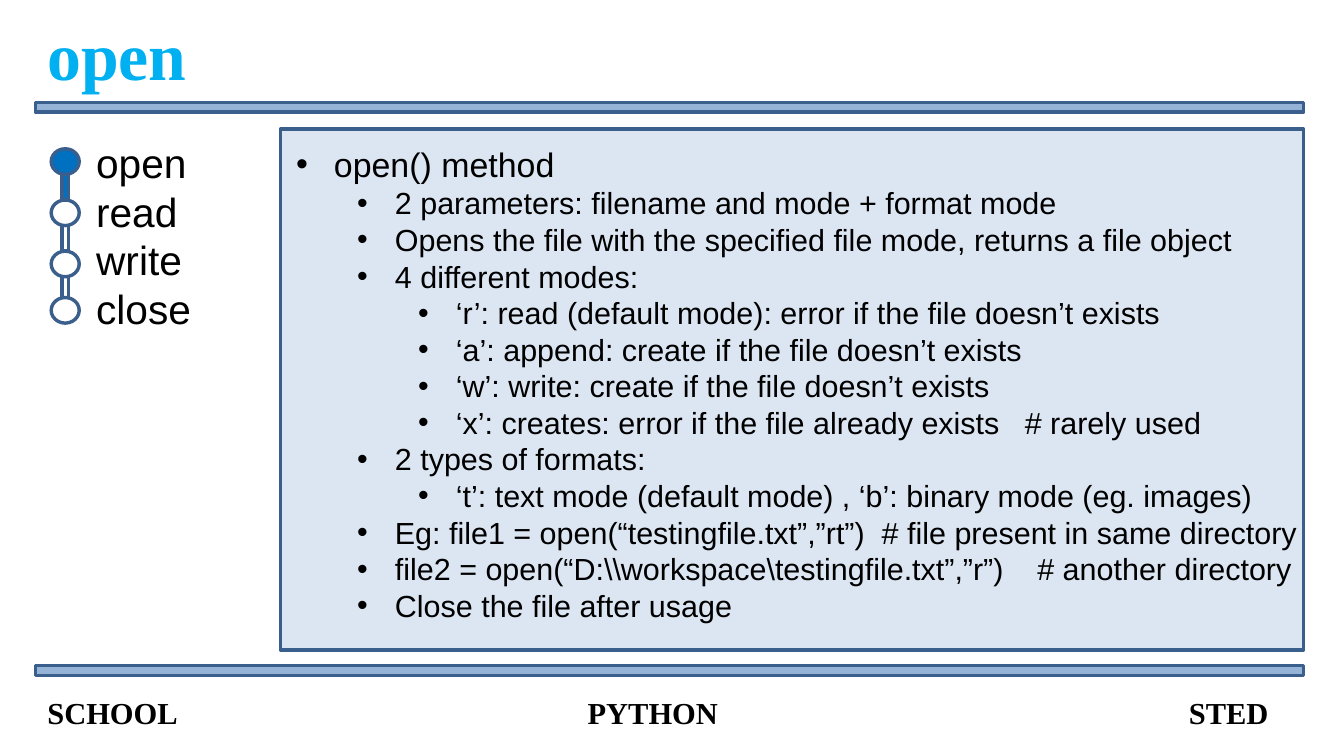
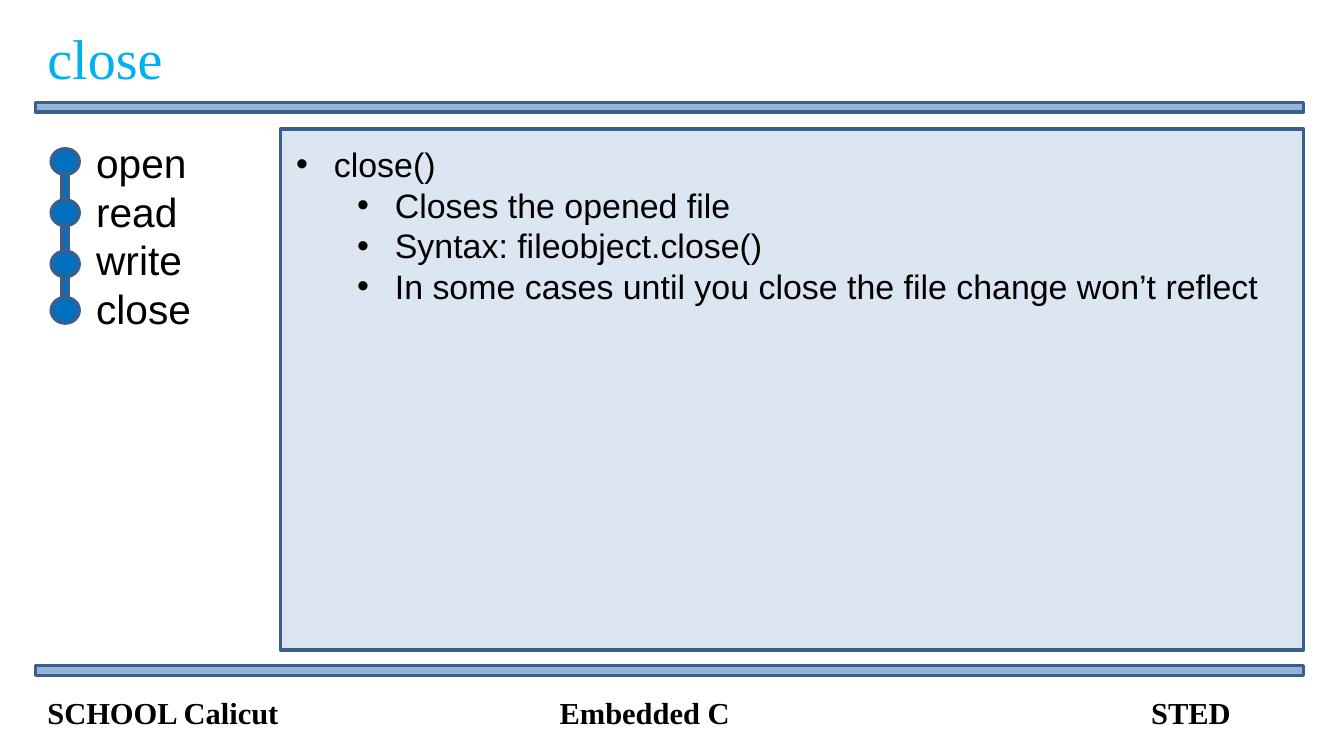
from itertools import pairwise

from lxml.etree import SubElement
from pptx import Presentation
from pptx.dml.color import RGBColor
from pptx.enum.shapes import MSO_SHAPE as Shape
from pptx.oxml.ns import qn
from pptx.util import Inches, Pt

# Content: body lines are (level, text); footer entries are (tab stop, text)
STEPS = ["open", "read", "write", "close"]
SLIDES = [
    {
        "title": "open", "title_size": 40, "title_bold": True,
        "title_box": (0.29, 0.06, 1.35, 0.77),
        "steps_done": 1, "detail_size": 18, "body_box": (2.33, 1.13, 8.49, 4.38),
        "body": [
            (0, "open() method"),
            (1, "2 parameters: filename and mode + format mode"),
            (1, "Opens the file with the specified file mode, returns a file object"),
            (1, "4 different modes:"),
            (2, "‘r’: read (default mode): error if the file doesn’t exists"),
            (2, "‘a’: append: create if the file doesn’t exists"),
            (2, "‘w’: write: create if the file doesn’t exists"),
            (2, "‘x’: creates: error if the file already exists   # rarely used"),
            (1, "2 types of formats:"),
            (2, "‘t’: text mode (default mode) , ‘b’: binary mode (eg. images)"),
            (1, "Eg: file1 = open(“testingfile.txt”,”rt”)  # file present in same directory"),
            (1, "file2 = open(“D:\\\\workspace\\testingfile.txt”,”r”)    # another directory"),
            (1, "Close the file after usage"),
        ],
        "footer": [(0, "SCHOOL"), (4.43, "PYTHON"), (9.36, "STED")],
    },
    {
        "title": "close", "title_size": 33.1, "title_bold": False,
        "title_box": (0.29, 0.14, 1.15, 0.66),
        "steps_done": 4, "detail_size": 20, "body_box": (2.33, 1.13, 8.16, 2.12),
        "body": [
            (0, "close()"),
            (1, "Closes the opened file"),
            (1, "Syntax: fileobject.close()"),
            (1, "In some cases until you close the file change won’t reflect"),
        ],
        "footer": [(0, "SCHOOL Calicut"), (4.2, "Embedded C"), (9.05, "STED")],
    },
]

# Shared style and layout, in inches
SERIF, SANS = "Times New Roman", "Arial"
BLACK, TITLE, OUTLINE = "000000", "00B0F0", "3A5F8C"
BAND, PANEL, DONE = "95B3D7", "DCE6F2", "0070C0"
MARGIN, CONTENT_WIDTH = 0.29, 10.4
BAND_TOPS, BAND_HEIGHT = (0.84, 5.46), 0.08
PANEL_BOX = (2.3, 1.06, 8.39, 4.27)
STEPS_BOX = (0.69, 1.08, 10.24, 1.72)
FOOTER_BOX = (MARGIN, 5.64, CONTENT_WIDTH, 0.38)
DOT_LEFT, DOT_WIDTH, DOT_HEIGHT = 0.42, 0.23, 0.21
DOT_TOPS = (1.22, 1.64, 2.06, 2.44)
LINK_WIDTH = 0.05
HANGING, LEVEL_STEP = 0.31, 0.5


def color(value):
    return RGBColor.from_string(value)


def add_box(slide, kind, box, fill=None):
    shape = slide.shapes.add_shape(kind, *map(Inches, box))
    shape.shadow.inherit = False
    if fill:
        shape.fill.solid()
        shape.fill.fore_color.rgb = color(fill)
    else:
        shape.fill.background()
    shape.line.color.rgb = color(OUTLINE)
    shape.line.width = Pt(2)


def add_text(slide, box, lines, font, ink=BLACK, bold=False, wrap=True):
    """Each line is (text, size); returns its paragraphs."""
    frame = slide.shapes.add_textbox(*map(Inches, box)).text_frame
    frame.word_wrap = wrap
    for index, (text, size) in enumerate(lines):
        paragraph = frame.add_paragraph() if index else frame.paragraphs[0]
        run = paragraph.add_run()
        run.text = text
        run.font.name, run.font.size, run.font.bold = font, Pt(size), bold
        run.font.color.rgb = color(ink)
    return frame.paragraphs


def set_bullet(paragraph, level):
    paragraph.level = level
    properties = paragraph._p.get_or_add_pPr()
    properties.set("marL", str(Inches(HANGING + level * LEVEL_STEP)))
    properties.set("indent", str(-Inches(HANGING)))
    SubElement(properties, qn("a:buFont"), typeface=SANS)
    SubElement(properties, qn("a:buChar"), char="•")


def add_footer(slide, entries):
    text = "\t".join(label for _, label in entries)
    paragraph = add_text(slide, FOOTER_BOX, [(text, 18)], SERIF, bold=True)[0]
    tabs = SubElement(paragraph._p.get_or_add_pPr(), qn("a:tabLst"))
    for stop, _ in entries[1:]:
        SubElement(tabs, qn("a:tab"), pos=str(Inches(stop)), algn="l")


def add_progress(slide, done):
    fills = [DONE if index < done else None for index in range(len(STEPS))]
    link_left = DOT_LEFT + (DOT_WIDTH - LINK_WIDTH) / 2
    for (top, below), fill in zip(pairwise(DOT_TOPS), fills):
        link_top = top + DOT_HEIGHT
        add_box(slide, Shape.RECTANGLE,
                (link_left, link_top, LINK_WIDTH, below - link_top), fill)
    for top, fill in zip(DOT_TOPS, fills):
        add_box(slide, Shape.OVAL, (DOT_LEFT, top, DOT_WIDTH, DOT_HEIGHT), fill)
    add_text(slide, STEPS_BOX, [(step, 24) for step in STEPS], SANS)


presentation = Presentation()
presentation.slide_width, presentation.slide_height = Inches(11.02), Inches(6.2)

for content in SLIDES:
    slide = presentation.slides.add_slide(presentation.slide_layouts[6])

    # Frame: bands, title, panel and footer
    for top in BAND_TOPS:
        add_box(slide, Shape.RECTANGLE, (MARGIN, top, CONTENT_WIDTH, BAND_HEIGHT), BAND)
    add_text(slide, content["title_box"], [(content["title"], content["title_size"])],
             SERIF, TITLE, content["title_bold"], wrap=False)
    add_box(slide, Shape.RECTANGLE, PANEL_BOX, PANEL)
    add_footer(slide, content["footer"])

    # Bulleted explanation
    lines = [(text, content["detail_size"] if level else 20)
             for level, text in content["body"]]
    paragraphs = add_text(slide, content["body_box"], lines, SANS)
    for paragraph, (level, _) in zip(paragraphs, content["body"]):
        set_bullet(paragraph, level)

    # Steps reached so far
    add_progress(slide, content["steps_done"])

presentation.save("out.pptx")
